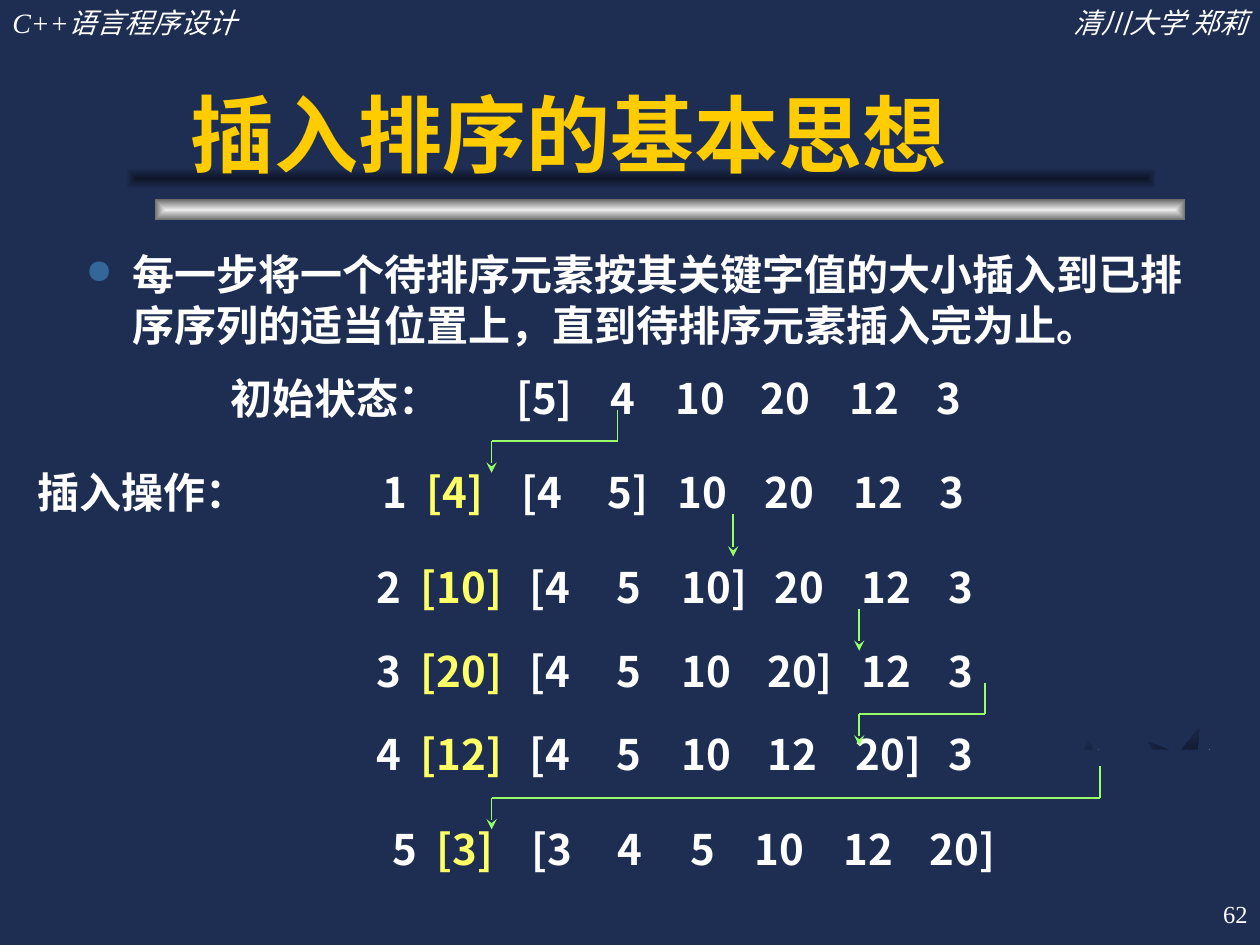
import pptx
import pptx.dml.color
import pptx.enum.shapes
import pptx.enum.text
import pptx.oxml
import pptx.oxml.ns
import pptx.util
from pptx.util import Cm

RGBColor = pptx.dml.color.RGBColor
SHAPE = pptx.enum.shapes.MSO_SHAPE
ALIGN = pptx.enum.text.PP_ALIGN
ANCHOR = pptx.enum.text.MSO_ANCHOR
qn = pptx.oxml.ns.qn
NS = pptx.oxml.ns.nsdecls("a")

NAVY = RGBColor(0x1E, 0x2E, 0x53)
DARK = RGBColor(0x0E, 0x15, 0x26)
SILVER = RGBColor(0xEA, 0xEA, 0xEA)
GRAY = RGBColor(0x6C, 0x6C, 0x6C)
WHITE = RGBColor(0xFF, 0xFF, 0xFF)
GOLD = RGBColor(0xFF, 0xCC, 0x00)
YELLOW = RGBColor(0xFF, 0xFF, 0x66)
GREEN = RGBColor(0x99, 0xFF, 0x66)
CJK = "Noto Sans CJK SC"


def add_gradient_shape(kind, box, inner, outer):
    """Add a preset shape shaded from its centre to its edges."""
    sp = s.shapes.add_shape(kind, *map(Cm, box))
    sp.shadow.inherit = False
    sp.line.fill.background()
    sp.fill.gradient()
    for stop, color in zip(sp.fill.gradient_stops, (inner, outer)):
        stop.color.rgb = color
    grad = sp._element.spPr.find(qn("a:gradFill"))
    grad.remove(grad.find(qn("a:lin")))
    grad.append(pptx.oxml.parse_xml(
        f'<a:path {NS} path="rect"><a:fillToRect l="50000" t="50000" '
        'r="50000" b="50000"/></a:path>'))
    return sp


def add_text(box, runs, size, font=CJK, bold=False, italic=False,
             align=ALIGN.LEFT, anchor=ANCHOR.TOP, tabs=()):
    """Add one paragraph of (text, colour) runs; tabs are slide positions."""
    tb = s.shapes.add_textbox(*map(Cm, box))
    tf = tb.text_frame
    tf.word_wrap = True
    tf.vertical_anchor = anchor
    p = tf.paragraphs[0]
    p.alignment = align
    p.line_spacing = pptx.util.Pt(round(size * 1.2))
    for text, color in runs:
        r = p.add_run()
        r.text = text
        r.font.name = font
        r.font.size = pptx.util.Pt(size)
        r.font.bold = bold
        r.font.italic = italic
        r.font.color.rgb = color
        r._r.rPr.append(pptx.oxml.parse_xml(f'<a:ea {NS} typeface="{CJK}"/>'))
    if tabs:
        start = box[0] + 0.25
        stops = "".join(f'<a:tab pos="{Cm(x - start)}" algn="l"/>' for x in tabs)
        p._p.get_or_add_pPr().append(
            pptx.oxml.parse_xml(f"<a:tabLst {NS}>{stops}</a:tabLst>"))
    return p


prs = pptx.Presentation()
prs.slide_width = Cm(25.4)
prs.slide_height = Cm(19.05)
s = prs.slides.add_slide(prs.slide_layouts[6])
s.background.fill.solid()
s.background.fill.fore_color.rgb = NAVY

# Corner stars with their shades, then the two title bars
stars = [
    (21.36, 14.86, 1.17, 0, DARK, NAVY),
    (23.01, 14.61, 1.7, 22, DARK, NAVY),
    (21.56, 15.09, 1.17, 0, SILVER, GRAY),
    (23.22, 15.04, 1.7, 22, SILVER, GRAY),
]
for left, top, size, angle, inner, outer in stars:
    star = add_gradient_shape(SHAPE.STAR_5_POINT, (left, top, size, size), inner, outer)
    star.rotation = angle
add_gradient_shape(SHAPE.RECTANGLE, (3.12, 4.02, 20.78, 0.42), SILVER, GRAY)
add_gradient_shape(SHAPE.RECTANGLE, (2.54, 3.39, 20.78, 0.42), DARK, NAVY)

# Header and page number
add_text((0, 0, 7.83, 0.95), [("C++语言程序设计", WHITE)], 16,
         "Times New Roman", italic=True)
add_text((17.57, 0, 7.83, 0.95), [("清川大学 郑莉", WHITE)], 16,
         "Times New Roman", italic=True, align=ALIGN.RIGHT)
add_text((20.12, 17.78, 5.28, 1.27), [("62", WHITE)], 14,
         "Times New Roman", align=ALIGN.RIGHT, anchor=ANCHOR.MIDDLE)

# Plain panel over the lower part of the stars
panel = s.shapes.add_shape(SHAPE.RECTANGLE, Cm(19.3), Cm(15.11), Cm(6.1), Cm(3))
panel.shadow.inherit = False
panel.fill.solid()
panel.fill.fore_color.rgb = NAVY
panel.line.fill.background()

# Title and explanation
add_text((3.6, 0.64, 19.9, 3.18), [("插入排序的基本思想", GOLD)], 48, "Arial",
         bold=True, anchor=ANCHOR.BOTTOM)
p = add_text((1.48, 4.88, 22.86, 2.54), [(
    "每一步将一个待排序元素按其关键字值的大小插入到已排序序列的适当位置上，"
    "直到待排序元素插入完为止。", WHITE)], 24, "Arial", bold=True)
pPr = p._p.get_or_add_pPr()
pPr.set("marL", str(Cm(0.95)))
pPr.set("indent", str(Cm(-0.95)))
for bullet in ('<a:buClr {}><a:srgbClr val="336699"/></a:buClr>',
               '<a:buSzPct {} val="80000"/>', '<a:buChar {} char="●"/>'):
    pPr.append(pptx.oxml.parse_xml(bullet.format(NS)))

# Sorting steps: left, top, width, label, inserted key, list items, tab stops
steps = [
    (4.39, 7.37, 15.62, "初始状态：", "", "[5] 4 10 20 12 3",
     (10.41, 12.31, 13.62, 15.33, 17.13, 18.88)),
    (7.47, 9.27, 12.67, "1", "[4]", "[4 5] 10 20 12 3",
     (8.6, 10.51, 12.25, 13.66, 15.41, 17.21, 18.94)),
    (7.34, 11.18, 12.95, "2", "[10]", "[4 5 10] 20 12 3",
     (8.48, 10.67, 12.43, 13.74, 15.61, 17.37, 19.12)),
    (7.34, 12.88, 12.95, "3", "[20]", "[4 5 10 20] 12 3",
     (8.48, 10.67, 12.43, 13.74, 15.47, 17.37, 19.12)),
    (7.34, 14.55, 12.95, "4", "[12]", "[4 5 10 12 20] 3",
     (8.48, 10.67, 12.43, 13.74, 15.47, 17.25, 19.12)),
    (7.67, 16.46, 13.13, "5", "[3]", "[3 4 5 10 12 20]",
     (8.8, 10.71, 12.45, 13.92, 15.21, 17.01, 18.74)),
]
add_text((0.51, 9.27, 4.75, 1.27), [("插入操作：", WHITE)], 24, bold=True)
for left, top, width, label, key, items, tabs in steps:
    runs = [(label, WHITE)]
    if key:
        runs += [("\t", WHITE), (key, YELLOW)]
    runs.append(("\t" + "\t".join(items.split()), WHITE))
    add_text((left, top, width, 1.27), runs, 24, bold=True, tabs=tabs)

# Insertion arrows; each last segment carries the head
arrows = [
    [(12.45, 8.26), (12.45, 8.89), (9.91, 8.89), (9.91, 9.53)],
    [(14.78, 10.37), (14.78, 11.22)],
    [(17.32, 12.28), (17.32, 13.12)],
    [(19.86, 13.76), (19.86, 14.39), (17.32, 14.39), (17.32, 15.03)],
    [(22.18, 15.45), (22.18, 16.09), (9.91, 16.09), (9.91, 16.72)],
]
for points in arrows:
    for start, end in zip(points, points[1:]):
        line = s.shapes.add_connector(
            pptx.enum.shapes.MSO_CONNECTOR.STRAIGHT, *map(Cm, start + end))
        line.line.color.rgb = GREEN
        line.line.width = pptx.util.Pt(1)
        line._element.spPr.append(pptx.oxml.parse_xml(f"<a:effectLst {NS}/>"))
    line.line._get_or_add_ln().append(
        pptx.oxml.parse_xml(f'<a:tailEnd {NS} type="stealth"/>'))

prs.save("out.pptx")
